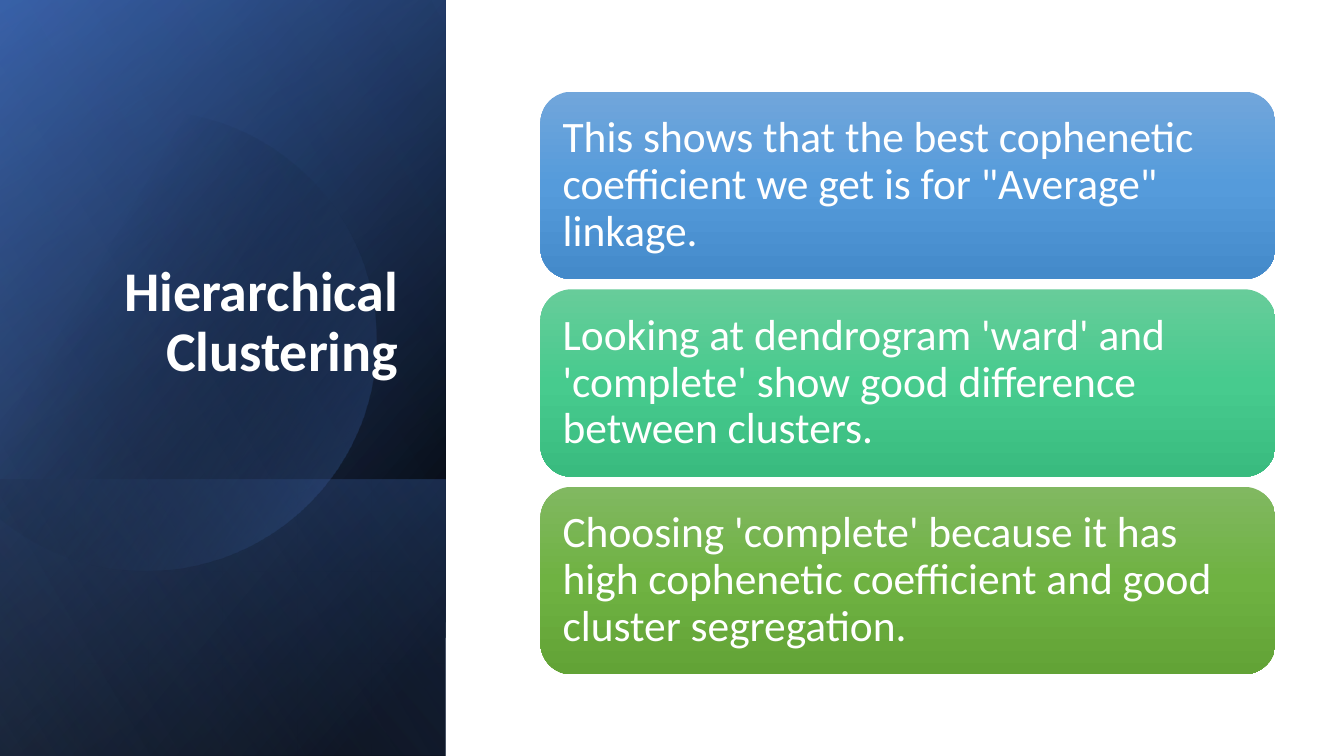
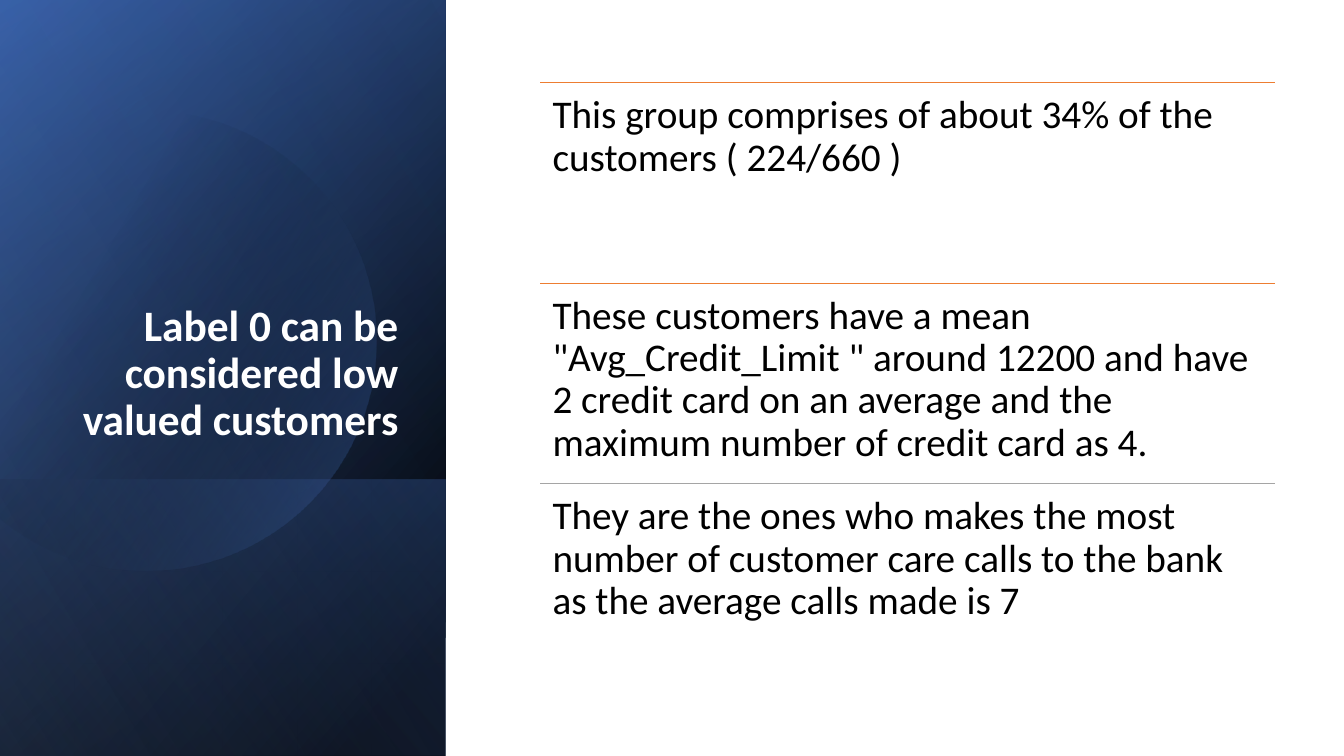
from math import acos, cos, degrees, radians, sin

from lxml import etree
from pptx import Presentation
from pptx.dml.color import RGBColor
from pptx.enum.shapes import MSO_CONNECTOR as CONNECTOR, MSO_SHAPE as SHAPE
from pptx.enum.text import MSO_ANCHOR as ANCHOR, MSO_AUTO_SIZE as AUTOSIZE, PP_ALIGN as ALIGN
from pptx.oxml.ns import qn
from pptx.util import Inches, Pt

# Content
CLUSTERING = {
    "title": "Hierarchical Clustering", "size": 40, "bottom": 3.86,
    "cards": [
        ("This shows that the best cophenetic coefficient we get is for \"Average\" linkage.",
         ("71A6DB", "559BDB", "448ACA")),
        ("Looking at dendrogram 'ward' and 'complete' show good difference between clusters.",
         ("67CC9A", "47CB8E", "39BB7F")),
        ("Choosing 'complete' because it has high cophenetic coefficient and good "
         "cluster segregation.",
         ("81B861", "6FB242", "62A336")),
    ],
}
LABEL_0 = {
    "title": "Label 0 can be considered low valued customers", "size": 31, "bottom": 4.46,
    "rows": [
        ("This group comprises of about 34% of the customers ( 224/660 )", "ED7D31"),
        ("These customers have a mean \"Avg_Credit_Limit \" around 12200 and have 2 credit card "
         "on an average and the maximum number of credit card as 4.", "ED7D31"),
        ("They are the ones who makes the most number of customer care calls to the bank "
         "as the average calls made is 7", "A5A5A5"),
    ],
}

# Shared style
FONT, WHITE, BLACK = "Calibri", "FFFFFF", "000000"
BLUE, NAVY, PALE = "4472C4", "2F5597", "8FAADC"
SLIDE_W, SLIDE_H = 13.33, 7.5
PANEL_W, BAND_H = 4.42, 2.74
BODY_X, BODY_W = 5.36, 7.29
# Panel layers: height, gradient angle, stops of (position, colour, opacity)
BASE = (SLIDE_H, 50, [(8, BLACK, 100), (100, NAVY, 100)])
GLOW = (SLIDE_H, 30, [(0, BLACK, 0), (99, BLUE, 46)])
BAND = (BAND_H, 130, [(2, BLUE, 29), (100, BLACK, 30)])
VEIL = (SLIDE_H, 120, [(0, BLACK, 0), (99, PALE, 11)])
DISC_X, DISC_Y, DISC_R = 1.45, 3.38, 2.28
DISC_STOPS = [(29, BLACK, 0), (100, BLUE, 43)]


def rgb(color):
    return RGBColor.from_string(color)


def gradient(sp, angle, stops):
    """Fill a shape with a linear gradient, without line or shadow."""
    sp.shadow.inherit = False
    sp.line.fill.background()
    sp.fill.gradient()
    fill = sp.fill._xPr.find(qn("a:gradFill"))
    fill.set("rotWithShape", "1")
    for child in list(fill):
        fill.remove(child)
    stop_list = etree.SubElement(fill, qn("a:gsLst"))
    for pos, color, opacity in stops:
        stop = etree.SubElement(stop_list, qn("a:gs"), pos=str(pos * 1000))
        clr = etree.SubElement(stop, qn("a:srgbClr"), val=color)
        if opacity < 100:
            etree.SubElement(clr, qn("a:alpha"), val=str(opacity * 1000))
    etree.SubElement(fill, qn("a:lin"), ang=str(angle * 60000), scaled="0")


def write(sp, text, size=28, color=BLACK, bold=False, align=ALIGN.LEFT,
          anchor=ANCHOR.TOP, inset=(0.1, 0.05)):
    tf = sp.text_frame
    tf.word_wrap, tf.auto_size, tf.vertical_anchor = True, AUTOSIZE.NONE, anchor
    tf.margin_left = tf.margin_right = Inches(inset[0])
    tf.margin_top = tf.margin_bottom = Inches(inset[1])
    p = tf.paragraphs[0]
    p.alignment, p.line_spacing = align, 0.9
    r = p.add_run()
    r.text = text
    r.font.name, r.font.size, r.font.bold = FONT, Pt(size), bold
    r.font.color.rgb = rgb(color)


def add_layer(s, height, angle, stops):
    """Bottom-aligned panel layer, turned a quarter and mirrored."""
    left, top = (PANEL_W - height) / 2, SLIDE_H - (height + PANEL_W) / 2
    sp = s.shapes.add_shape(SHAPE.RECTANGLE, Inches(left), Inches(top),
                            Inches(height), Inches(PANEL_W))
    sp.rotation = 90
    sp.element.spPr.find(qn("a:xfrm")).set("flipH", "1")
    gradient(sp, angle, stops)


def add_disc(s):
    """Circle cut off at the left slide edge."""
    limit = degrees(acos(-DISC_X / DISC_R))
    steps = 120
    angles = [radians(limit * (2 * i / steps - 1)) for i in range(steps + 1)]
    points = [(Inches(DISC_X + DISC_R * cos(a)), Inches(DISC_Y + DISC_R * sin(a)))
              for a in angles]
    outline = s.shapes.build_freeform(*points[0])
    outline.add_line_segments(points[1:])
    gradient(outline.convert_to_shape(), 30, DISC_STOPS)


def add_slide(prs, content):
    s = prs.slides.add_slide(prs.slide_layouts[5])
    for layer in (BASE, GLOW, BAND):
        add_layer(s, *layer)
    add_disc(s)
    add_layer(s, *VEIL)
    # Title in front of the panel
    title = s.shapes.title
    title.element.getparent().append(title.element)
    top = 1.84
    title.left, title.top = Inches(0.64), Inches(top)
    title.width, title.height = Inches(3.41), Inches(content["bottom"] - top)
    write(title, content["title"], size=content["size"], color=WHITE, bold=True,
          align=ALIGN.RIGHT, anchor=ANCHOR.BOTTOM)
    return s


def add_cards(s, cards, top=0.91, height=1.86, gap=0.1):
    for i, (text, colors) in enumerate(cards):
        y = top + i * (height + gap)
        sp = s.shapes.add_shape(SHAPE.ROUNDED_RECTANGLE, Inches(BODY_X), Inches(y),
                                Inches(BODY_W), Inches(height))
        gradient(sp, 90, [(50 * n, c, 100) for n, c in enumerate(colors)])
        write(sp, text, size=31, color=WHITE, anchor=ANCHOR.MIDDLE, inset=(0.13, 0.13))


def add_rows(s, rows, top=0.82, height=1.99):
    for i, (text, color) in enumerate(rows):
        x, y, w = Inches(BODY_X), Inches(top + i * height), Inches(BODY_W)
        rule = s.shapes.add_connector(CONNECTOR.STRAIGHT, x, y, x + w, y)
        rule.line.color.rgb, rule.line.width = rgb(color), Pt(0.5)
        etree.SubElement(rule.element.spPr, qn("a:effectLst"))
        box = s.shapes.add_textbox(x, y, w, Inches(height))
        write(box, text, inset=(0.12, 0.12))


def main():
    prs = Presentation()
    prs.slide_width, prs.slide_height = Inches(SLIDE_W), Inches(SLIDE_H)
    add_cards(add_slide(prs, CLUSTERING), CLUSTERING["cards"])
    add_rows(add_slide(prs, LABEL_0), LABEL_0["rows"])
    prs.save("out.pptx")


if __name__ == "__main__":
    main()
